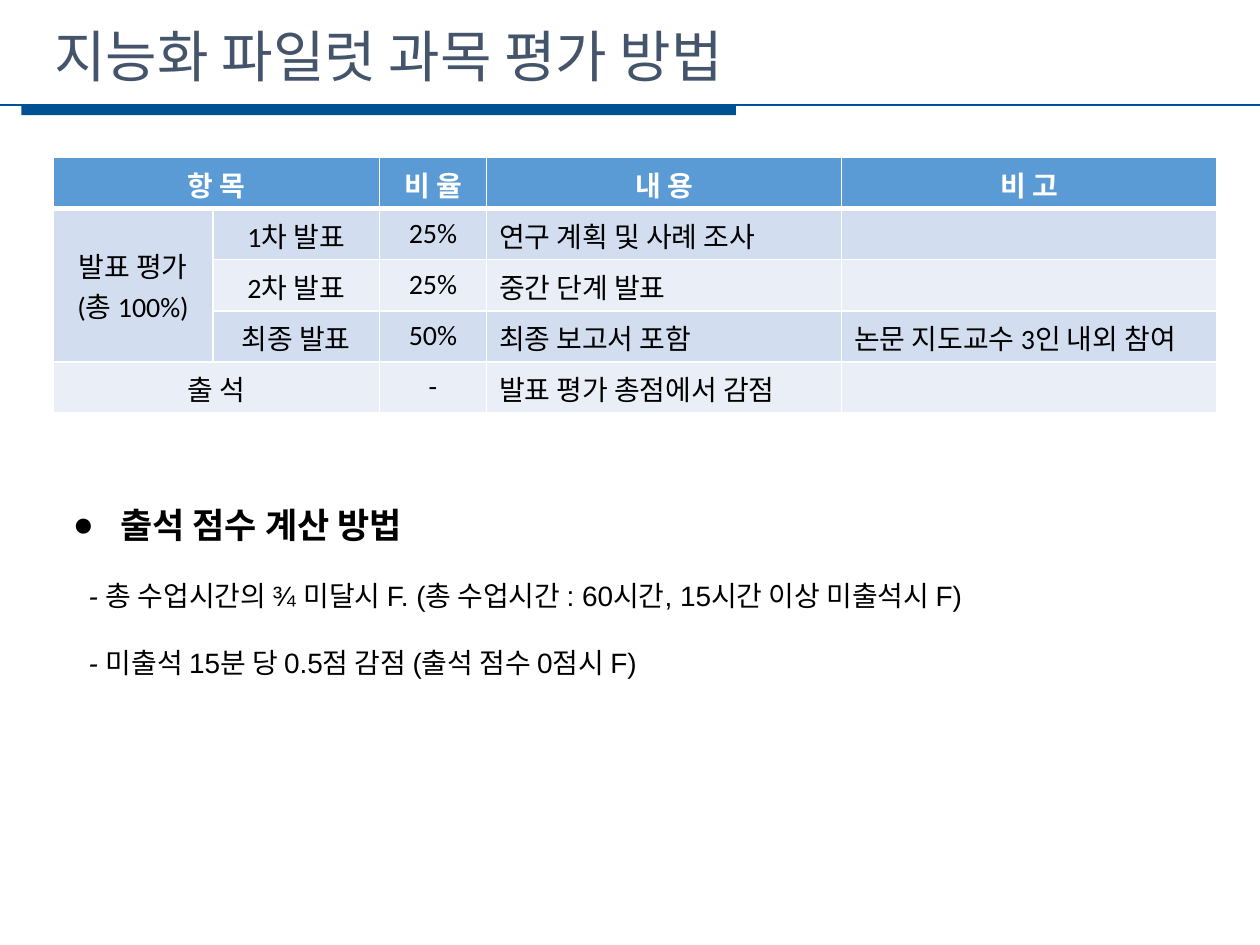
from lxml.etree import SubElement
from pptx import Presentation
from pptx.dml.color import RGBColor
from pptx.enum.shapes import MSO_CONNECTOR, MSO_SHAPE
from pptx.enum.text import MSO_ANCHOR, PP_ALIGN
from pptx.oxml.ns import qn
from pptx.util import Pt

NAVY = RGBColor(0x00, 0x50, 0x94)
SLATE = RGBColor(0x44, 0x54, 0x6A)
HEADER_BLUE = RGBColor(0x5B, 0x9B, 0xD5)
BAND_DARK = RGBColor(0xD2, 0xDE, 0xEF)
BAND_LIGHT = RGBColor(0xEA, 0xEF, 0xF7)
WHITE = RGBColor(0xFF, 0xFF, 0xFF)
BLACK = RGBColor(0x00, 0x00, 0x00)

COLUMN_WIDTHS = (91.4, 95, 61.2, 203, 214.6)
ROW_HEIGHT = 29.2
CENTRED_COLUMNS = 3
ROWS = (
    ("항 목", "", "비 율", "내 용", "비 고"),
    ("발표 평가\n(총 100%)", "1차 발표", "25%", "연구 계획 및 사례 조사", ""),
    ("", "2차 발표", "25%", "중간 단계 발표", ""),
    ("", "최종 발표", "50%", "최종 보고서 포함", "논문 지도교수 3인 내외 참여"),
    ("출 석", "", "-", "발표 평가 총점에서 감점", ""),
)
MERGES = (((0, 0), (0, 1)), ((1, 0), (3, 0)), ((4, 0), (4, 1)))
RULES = (
    "총 수업시간의 ¾ 미달시 F. (총 수업시간 : 60시간, 15시간 이상 미출석시 F)",
    "미출석 15분 당 0.5점 감점 (출석 점수 0점시 F)",
)


def add_run(paragraph, text, font_name, size, color, bold=False, italic=False):
    """Append one formatted run to a paragraph."""
    run = paragraph.add_run()
    run.text = text
    font = run.font
    font.name, font.size, font.bold, font.italic = font_name, Pt(size), bold, italic
    font.color.rgb = color


def add_text_frame(slide, left, top, width, height):
    """Add a wrapping text box and return its text frame."""
    box = slide.shapes.add_textbox(Pt(left), Pt(top), Pt(width), Pt(height))
    box.text_frame.word_wrap = True
    return box.text_frame


def add_heading(slide, left, top, width, height):
    """Place the title above a full-width rule with a thick accent bar."""
    rule_top = top + height
    bar = slide.shapes.add_shape(
        MSO_SHAPE.RECTANGLE, Pt(left + 12.2), Pt(rule_top), Pt(408.4), Pt(5.8))
    bar.shadow.inherit = False
    bar.fill.solid()
    bar.fill.fore_color.rgb = NAVY
    bar.line.fill.background()

    rule = slide.shapes.add_connector(
        MSO_CONNECTOR.STRAIGHT, Pt(left), Pt(rule_top), Pt(left + width), Pt(rule_top))
    rule.line.color.rgb = NAVY
    rule.line.width = Pt(1.25)
    SubElement(rule._element.spPr, qn("a:effectLst"))

    frame = add_text_frame(slide, left + 24, top + 8.6, 645, 46)
    frame.vertical_anchor = MSO_ANCHOR.MIDDLE
    add_run(frame.paragraphs[0], "지능화 파일럿 과목 평가 방법",
            "Noto Sans CJK KR", 32, SLATE)


def set_borders(cell, bottom_width):
    """Give a cell white borders, with its own width at the bottom."""
    properties = cell._tc.get_or_add_tcPr()
    for side, width in (("L", 1), ("R", 1), ("T", 1), ("B", bottom_width)):
        line = SubElement(properties, qn(f"a:ln{side}"), w=str(Pt(width)))
        fill = SubElement(line, qn("a:solidFill"))
        SubElement(fill, qn("a:srgbClr"), val=str(WHITE))


def add_grading_table(slide, left, top):
    """Place the table of graded items, shares and remarks."""
    table = slide.shapes.add_table(
        len(ROWS), len(COLUMN_WIDTHS), Pt(left), Pt(top),
        Pt(sum(COLUMN_WIDTHS)), Pt(ROW_HEIGHT * len(ROWS))).table
    table.first_row = table.horz_banding = False
    for column, width in zip(table.columns, COLUMN_WIDTHS):
        column.width = Pt(width)
    for row_index, texts in enumerate(ROWS):
        table.rows[row_index].height = Pt(ROW_HEIGHT)
        is_header = row_index == 0
        band = BAND_DARK if row_index % 2 else BAND_LIGHT
        for column_index, text in enumerate(texts):
            cell = table.cell(row_index, column_index)
            set_borders(cell, 3 if is_header else 1)
            cell.fill.solid()
            cell.fill.fore_color.rgb = HEADER_BLUE if is_header else band
            cell.vertical_anchor = MSO_ANCHOR.MIDDLE
            centred = is_header or column_index < CENTRED_COLUMNS
            for line_index, line in enumerate(text.split("\n")):
                frame = cell.text_frame
                paragraph = frame.add_paragraph() if line_index else frame.paragraphs[0]
                paragraph.alignment = PP_ALIGN.CENTER if centred else PP_ALIGN.LEFT
                paragraph.font.size = Pt(16)
                if line:
                    add_run(paragraph, line, "Calibri", 16,
                            WHITE if is_header else BLACK, bold=is_header)
    for first, last in MERGES:
        table.cell(*first).merge(table.cell(*last))


def add_attendance_rules(slide, left, top, width, height):
    """Place the bulleted heading and the rules for attendance marks."""
    frame = add_text_frame(slide, left, top, width, height)
    heading = frame.paragraphs[0]
    heading.line_spacing = 2.0
    properties = heading._p.get_or_add_pPr()
    properties.set("marL", str(Pt(27)))
    properties.set("indent", str(Pt(-27)))
    SubElement(properties, qn("a:buFont"), typeface="Arial")
    SubElement(properties, qn("a:buChar"), char="●")
    add_run(heading, "출석 점수 계산 방법", "Arial", 20, BLACK, bold=True)
    for rule in RULES:
        paragraph = frame.add_paragraph()
        paragraph.line_spacing = 2.0
        paragraph._p.get_or_add_pPr().set("marL", str(Pt(9)))
        add_run(paragraph, "- ", "Arial", 16, BLACK, italic=True)
        add_run(paragraph, rule, "Arial", 16, BLACK)


def main():
    """Build the slide and save the presentation."""
    presentation = Presentation()
    presentation.slide_width, presentation.slide_height = Pt(720), Pt(540)
    slide = presentation.slides.add_slide(presentation.slide_layouts[6])
    add_heading(slide, 0, 0, 720, 60)
    add_grading_table(slide, 30.4, 90)
    add_attendance_rules(slide, 34.6, 260, 685.4, 133)
    presentation.save("out.pptx")


main()
